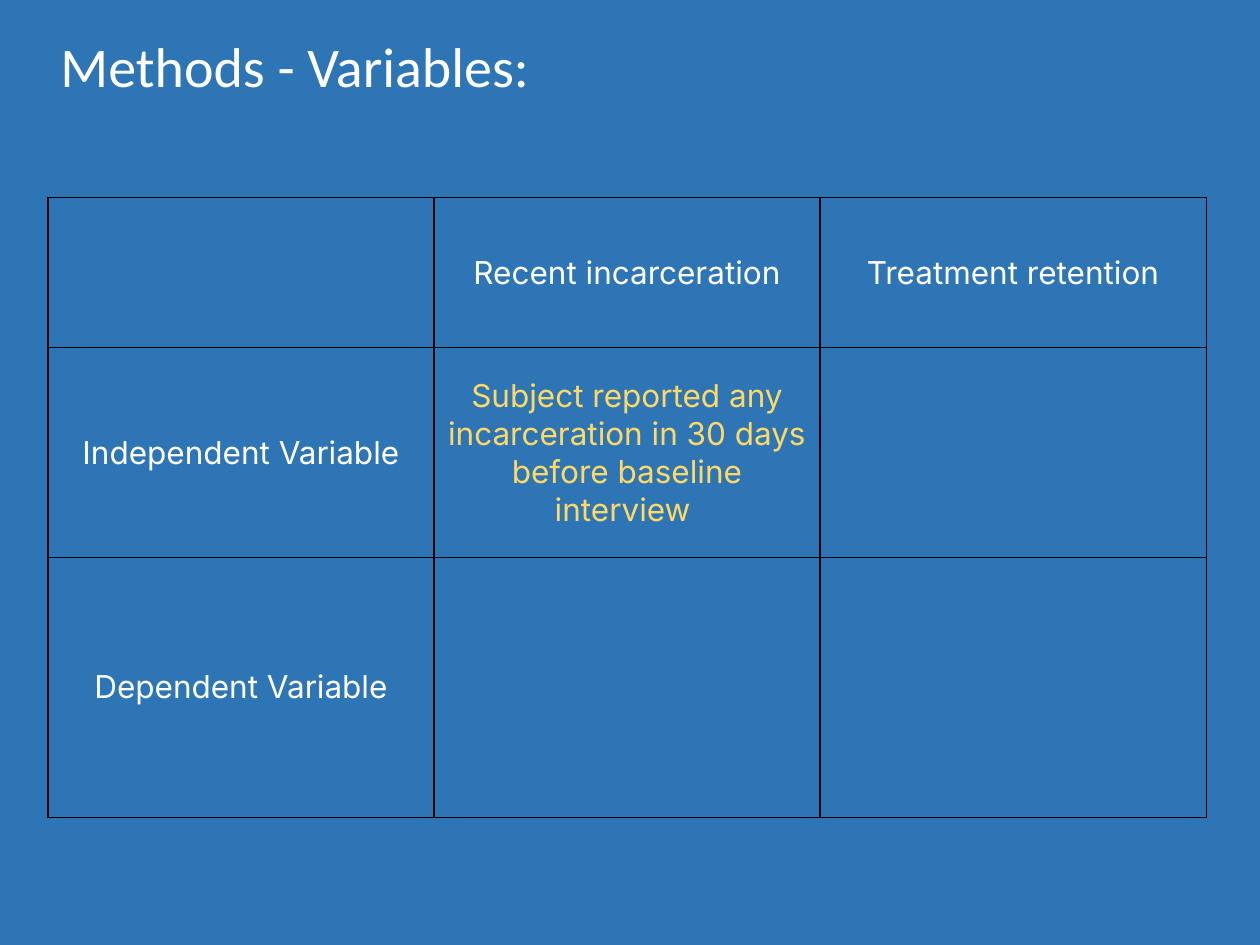
"""Build the Methods - Variables slide."""
from lxml import etree
from pptx import Presentation
from pptx.dml.color import RGBColor
from pptx.enum.text import MSO_ANCHOR, PP_ALIGN
from pptx.oxml.ns import qn
from pptx.util import Pt

BLUE, WHITE, YELLOW, BLACK = "2E75B6", "FFFFFF", "FFD966", "000000"
TITLE = "Methods - Variables:"
ROWS = [
    ("", "Recent incarceration", "Treatment retention"),
    ("Independent Variable",
     "Subject reported any incarceration in 30 days before baseline interview ", ""),
    ("Dependent Variable", "", ""),
]
ROW_HEIGHTS = (85.7, 120, 148.3)
COLUMN_WIDTH = 220.6
LEFT, TABLE_TOP = 27.4, 113


def paint(color_format, value):
    color_format.rgb = RGBColor.from_string(value)


def style_run(run, font, size, color):
    run.font.name = font
    run.font.size = Pt(size)
    paint(run.font.color, color)


def add_borders(cell):
    properties = cell._tc.get_or_add_tcPr()
    for side in ("lnL", "lnR", "lnT", "lnB"):
        line = etree.SubElement(properties, qn(f"a:{side}"), w=str(Pt(0.75)))
        fill = etree.SubElement(line, qn("a:solidFill"))
        etree.SubElement(fill, qn("a:srgbClr"), val=BLACK)


def fill_cell(cell, text, color):
    add_borders(cell)
    cell.fill.background()
    cell.vertical_anchor = MSO_ANCHOR.MIDDLE
    paragraph = cell.text_frame.paragraphs[0]
    paragraph.alignment = PP_ALIGN.CENTER
    if text:
        run = paragraph.add_run()
        run.text = text
        style_run(run, "Inter", 18, color)


prs = Presentation()
prs.slide_width, prs.slide_height = Pt(720), Pt(540)
slide = prs.slides.add_slide(prs.slide_layouts[6])
slide.background.fill.solid()
paint(slide.background.fill.fore_color, BLUE)

title = slide.shapes.add_textbox(Pt(LEFT), Pt(14.4), Pt(692.6), Pt(46))
title.text_frame.word_wrap = True
title_run = title.text_frame.paragraphs[0].add_run()
title_run.text = TITLE
style_run(title_run, "Calibri", 32, WHITE)

frame = slide.shapes.add_table(
    len(ROWS), len(ROWS[0]), Pt(LEFT), Pt(TABLE_TOP),
    Pt(COLUMN_WIDTH * len(ROWS[0])), Pt(sum(ROW_HEIGHTS)))
table = frame.table
table.first_row = table.horz_banding = False
for column in table.columns:
    column.width = Pt(COLUMN_WIDTH)
for r, (texts, height) in enumerate(zip(ROWS, ROW_HEIGHTS)):
    table.rows[r].height = Pt(height)
    for c, text in enumerate(texts):
        fill_cell(table.cell(r, c), text, YELLOW if r and c else WHITE)

prs.save("out.pptx")
